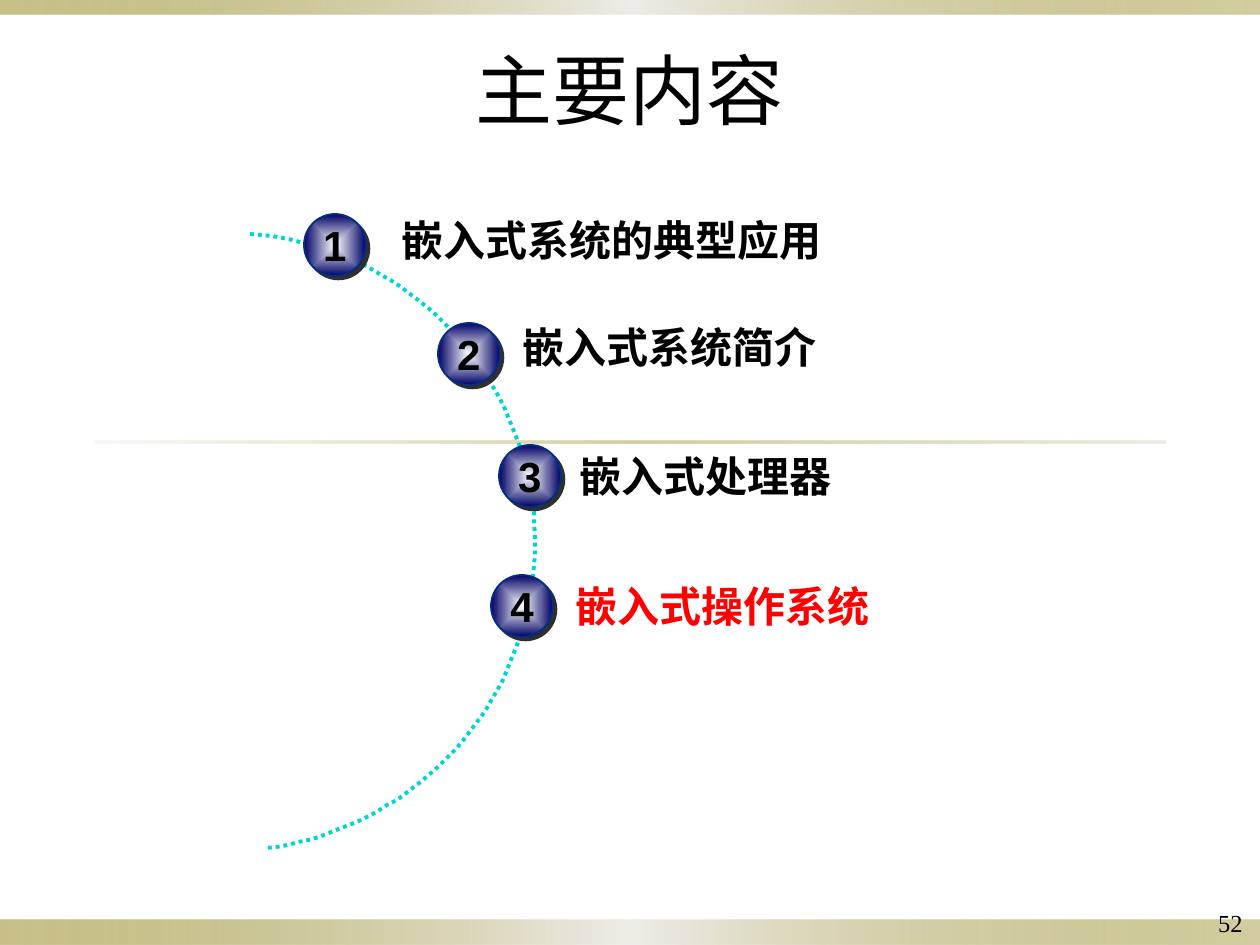
from math import cos, radians, sin

from lxml.etree import SubElement
from pptx import Presentation
from pptx.dml.color import RGBColor
from pptx.enum.dml import MSO_LINE
from pptx.enum.shapes import MSO_SHAPE
from pptx.enum.text import MSO_ANCHOR, MSO_AUTO_SIZE, PP_ALIGN
from pptx.oxml.ns import qn
from pptx.util import Inches, Pt

PX = Inches(10) // 1260
COLORS = {
    "black": "000000",
    "number": "010000",
    "current": "FF0000",
    "olive": "918415",
    "mist": "EEEDE8",
    "sand": "DCD9CC",
    "arc": "00D5D5",
    "white": "FFFFFF",
    "navy": "000066",
    "rim": "002D86",
    "shadow": "2F2F2F",
}
CJK = "Noto Sans CJK SC"


def set_gradient(shape, stops, from_center=False):
    shape.fill.gradient()
    gradient = shape._element.spPr.find(qn("a:gradFill"))
    for child in list(gradient):
        gradient.remove(child)
    stop_list = SubElement(gradient, qn("a:gsLst"))
    for position, color, alpha in stops:
        stop = SubElement(stop_list, qn("a:gs"), pos=str(position * 1000))
        tint = SubElement(stop, qn("a:srgbClr"), val=COLORS[color])
        if alpha < 100:
            SubElement(tint, qn("a:alpha"), val=str(alpha * 1000))
    if from_center:
        center = SubElement(gradient, qn("a:path"), path="shape")
        SubElement(center, qn("a:fillToRect"), l="50000", t="50000", r="50000", b="50000")
    else:
        SubElement(gradient, qn("a:lin"), ang="0", scaled="1")


def write(frame, text, size, font, color="black", bold=False, align=PP_ALIGN.LEFT, spacing=None):
    paragraph = frame.paragraphs[0]
    paragraph.alignment = align
    paragraph.line_spacing = spacing
    run = paragraph.add_run()
    run.text = text
    run.font.size = Pt(size)
    run.font.bold = bold
    run.font.name = font
    run.font.color.rgb = RGBColor.from_string(COLORS[color])
    SubElement(run.font._element, qn("a:ea"), typeface=CJK)


prs = Presentation()
prs.slide_width = Inches(10)
prs.slide_height = Inches(7.5)
slide = prs.slides.add_slide(prs.slide_layouts[5])
shapes = slide.shapes

band_stops = [(0, "olive", 50), (50, "mist", 100), (100, "olive", 40)]
rule_stops = [(0, "sand", 20), (50, "olive", 40), (100, "sand", 50)]
for left, top, width, height, stops in [
    (0, 920, 1260, 25, band_stops),
    (0, 0, 1260, 15, band_stops),
    (94, 441, 1071, 3, rule_stops),
]:
    band = shapes.add_shape(MSO_SHAPE.RECTANGLE, left * PX, top * PX, width * PX, height * PX)
    band.shadow.inherit = False
    band.line.fill.background()
    set_gradient(band, stops)

page_number = shapes.add_textbox(1159 * PX, 902 * PX, 96 * PX, 43 * PX).text_frame
page_number.word_wrap = True
write(page_number, "52", 14, "Times New Roman", "number", align=PP_ALIGN.RIGHT)

title = shapes.title
title.left, title.top, title.width, title.height = 73 * PX, 45 * PX, 1113 * PX, 100 * PX
title.text_frame.auto_size = MSO_AUTO_SIZE.NONE
title.text_frame.vertical_anchor = MSO_ANCHOR.MIDDLE
write(title.text_frame, "主要内容", 44, "Times New Roman", align=PP_ALIGN.CENTER, spacing=0.9)

center_x, center_y, radius = 226, 542, 309
arc_points = []
for step in range(85):
    angle = radians(-85.5 + 2 * step)
    arc_points.append((center_x + radius * cos(angle), center_y + radius * sin(angle)))
builder = shapes.build_freeform(*arc_points[0], scale=PX)
builder.add_line_segments(arc_points[1:], close=False)
arc = builder.convert_to_shape()
arc.shadow.inherit = False
arc.fill.background()
arc.line.color.rgb = RGBColor.from_string(COLORS["arc"])
arc.line.width = Pt(2.25)
arc.line.dash_style = MSO_LINE.ROUND_DOT

topics = [
    ("嵌入式系统的典型应用", "black", (304, 214), (389, 214)),
    ("嵌入式系统简介", "black", (438, 323), (510, 321)),
    ("嵌入式处理器", "black", (499, 445), (567, 450)),
    ("嵌入式操作系统", "current", (491, 575), (563, 580)),
]
for number, (topic, color, ball_at, label_at) in enumerate(topics, 1):
    ball = shapes.add_shape(MSO_SHAPE.OVAL, ball_at[0] * PX, ball_at[1] * PX, 62 * PX, 62 * PX)
    set_gradient(ball, [(0, "white", 100), (100, "navy", 100)], from_center=True)
    ball.line.color.rgb = RGBColor.from_string(COLORS["rim"])
    ball.line.width = Pt(1)
    ball.shadow.inherit = False
    effects = ball._element.spPr.find(qn("a:effectLst"))
    shadow = SubElement(effects, qn("a:outerShdw"), dist=str(Pt(2.8)), dir="2700000", algn="ctr", rotWithShape="0")
    SubElement(shadow, qn("a:srgbClr"), val=COLORS["shadow"])
    digit = ball.text_frame
    digit.margin_left = digit.margin_right = digit.margin_top = digit.margin_bottom = 0
    digit.word_wrap = False
    digit.vertical_anchor = MSO_ANCHOR.MIDDLE
    write(digit, str(number), 24, "Arial", bold=True, align=PP_ALIGN.CENTER)

    label = shapes.add_textbox(label_at[0] * PX, label_at[1] * PX, 690 * PX, 62 * PX).text_frame
    label.word_wrap = True
    write(label, topic, 24, CJK, color, bold=True, spacing=0.9)

prs.save("out.pptx")
